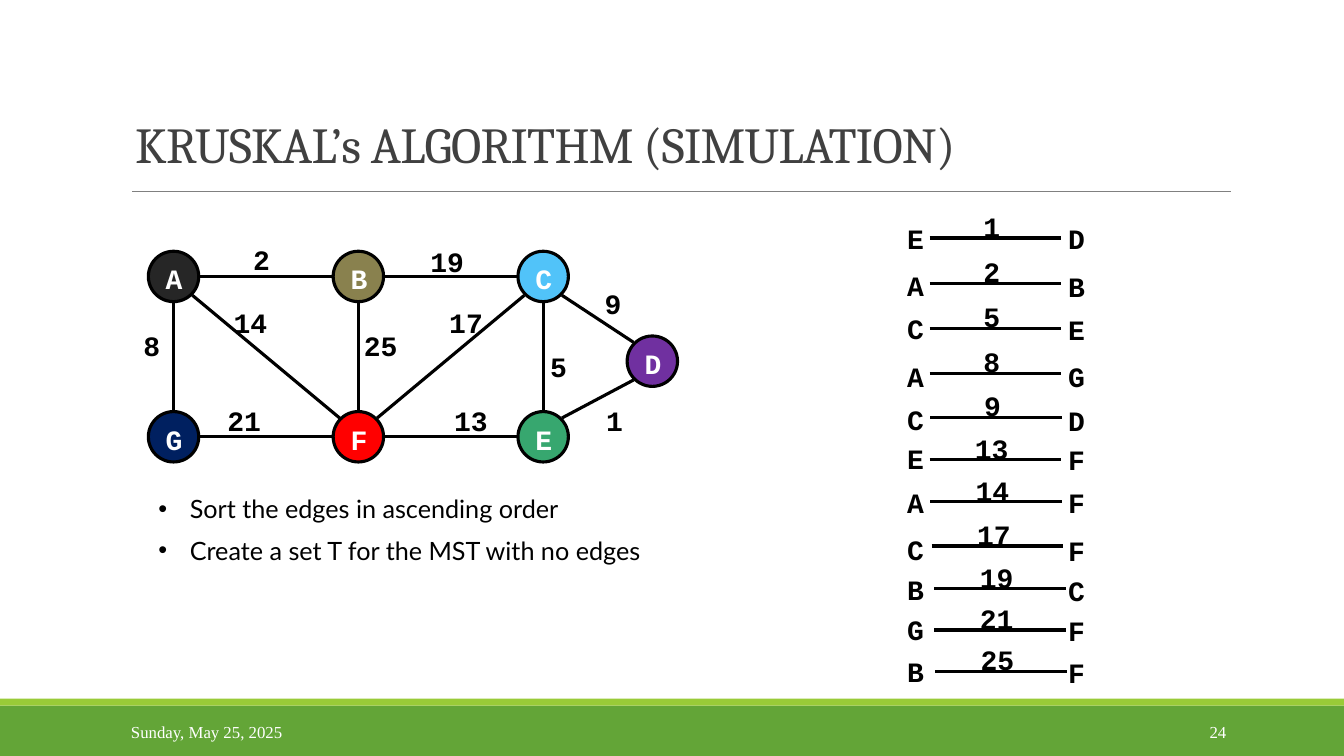
from math import hypot

from lxml import etree
from pptx import Presentation
from pptx.dml.color import RGBColor
from pptx.enum.shapes import MSO_CONNECTOR, MSO_SHAPE
from pptx.enum.text import MSO_ANCHOR, PP_ALIGN
from pptx.oxml.ns import qn
from pptx.util import Pt

STRAIGHT = MSO_CONNECTOR.STRAIGHT
RECTANGLE, OVAL = MSO_SHAPE.RECTANGLE, MSO_SHAPE.OVAL
TOP, MIDDLE, BOTTOM = MSO_ANCHOR.TOP, MSO_ANCHOR.MIDDLE, MSO_ANCHOR.BOTTOM
LEFT, RIGHT = PP_ALIGN.LEFT, PP_ALIGN.RIGHT

COLUMNS = [124 + 132 * column for column in range(3)]
UPPER, LOWER = 197.5, 312
NODES = {
    "A": (COLUMNS[0], UPPER, "262626"),
    "B": (COLUMNS[1], UPPER, "89814E"),
    "C": (COLUMNS[2], UPPER, "51C3F9"),
    "D": (466, 258, "7030A0"),
    "E": (COLUMNS[2], LOWER, "37A76F"),
    "F": (COLUMNS[1], LOWER, "FF0000"),
    "G": (COLUMNS[0], LOWER, "002060"),
}
EDGES = [
    (2, "AB", 187, 185.5),
    (19, "BC", 319.5, 186.5),
    (9, "CD", 438, 216.5),
    (1, "ED", 439, 300.5),
    (5, "CE", 399, 261.5),
    (13, "EF", 336.5, 300.5),
    (17, "CF", 333, 230),
    (25, "BF", 272, 246.5),
    (14, "AF", 179, 230),
    (8, "AG", 108.5, 246.5),
    (21, "GF", 174.5, 300.5),
]
LIST_ROWS = [
    (664, 170, 170),
    (664, 202.5, 204),
    (664, 234.5, 234.5),
    (664, 266.5, 268.5),
    (664.5, 298, 299.5),
    (664, 328.5, 327.5),
    (664.5, 358.5, 358.5),
    (665.5, 390, 392.5),
    (667.5, 420.5, 421),
    (667.5, 450, 449.5),
    (668, 479.5, 479.5),
]
STEPS = ["Sort the edges in ascending order", "Create a set T for the MST with no edges"]


def color(value):
    return RGBColor.from_string(value)


def sign(value):
    return (value > 0) - (value < 0)


class GraphSlide:
    """Draws styled shapes, lines and text on one slide."""

    ink = "000000"
    white = "FFFFFF"
    stroke = 2.25
    radius = 18
    reach = 19

    def __init__(self, slide):
        self.shapes = slide.shapes

    def shape(self, kind, left, top, width, height, fill, outline=None):
        shape = self.shapes.add_shape(kind, Pt(left), Pt(top), Pt(width), Pt(height))
        shape.shadow.inherit = False
        shape.fill.solid()
        shape.fill.fore_color.rgb = color(fill)
        if outline:
            shape.line.color.rgb = color(outline)
            shape.line.width = Pt(self.stroke)
        else:
            shape.line.fill.background()

    def line(self, x1, y1, x2, y2, stroke=ink, width=stroke):
        connector = self.shapes.add_connector(STRAIGHT, Pt(x1), Pt(y1), Pt(x2), Pt(y2))
        connector.line.color.rgb = color(stroke)
        connector.line.width = Pt(width)
        etree.SubElement(connector._element.spPr, qn("a:effectLst"))

    def text(self, content, left, top, width, height, font, size, fill=ink,
             bold=False, anchor=TOP, align=LEFT, wrap=True):
        box = self.shapes.add_textbox(Pt(left), Pt(top), Pt(width), Pt(height))
        frame = box.text_frame
        frame.text = content
        frame.word_wrap = wrap
        frame.vertical_anchor = anchor
        paragraph = frame.paragraphs[0]
        paragraph.alignment = align
        run = paragraph.runs[0]
        run.font.name = font
        run.font.size = Pt(size)
        run.font.bold = bold
        run.font.color.rgb = color(fill)
        return paragraph

    def title(self, content):
        paragraph = self.text(content, 89.5, 13.5, 825, 114.5, "Cambria", 36, "404040", anchor=BOTTOM)
        paragraph.line_spacing = 0.85
        paragraph.runs[0].font._element.set("spc", "-50")

    def footer(self, content, left, width, align=LEFT):
        self.text(content, left, 508.5, width, 28.5, "Times New Roman", 12,
                  self.white, anchor=MIDDLE, align=align)

    def bullet(self, content, top):
        paragraph = self.text(content, 106, top, 370, 29, "Lato", 18)
        properties = paragraph._p.get_or_add_pPr()
        properties.set("marL", str(Pt(22.5)))
        properties.set("indent", str(-Pt(22.5)))
        etree.SubElement(properties, qn("a:buFont"), typeface="Arial")
        etree.SubElement(properties, qn("a:buChar"), char="•")

    def label(self, content, x, y, fill=ink):
        width = 14.4 + 12 * len(content)
        self.text(content, x - width / 2, y - 15.5, width, 31, "Courier New", 20,
                  fill, bold=True, wrap=False)

    def node(self, x, y, fill):
        size = 2 * self.radius
        self.shape(OVAL, x - self.radius, y - self.radius, size, size, fill, self.ink)

    def edge(self, start, end):
        x1, y1, _ = NODES[start]
        x2, y2, _ = NODES[end]
        across, down = sign(x2 - x1), sign(y2 - y1)
        step = self.reach / hypot(across, down)
        dx, dy = across * step, down * step
        self.line(x1 + dx, y1 + dy, x2 - dx, y2 - dy)

    def list_row(self, weight, ends, line_left, line_y, letter_y):
        self.line(line_left, line_y, line_left + 94, line_y)
        self.label(str(weight), line_left + 44.5, line_y - 8.5)
        self.label(ends[0], 654, letter_y)
        self.label(ends[1], 769, letter_y + 0.5)


def main():
    presentation = Presentation()
    presentation.slide_width = Pt(960)
    presentation.slide_height = Pt(540)
    page = GraphSlide(presentation.slides.add_slide(presentation.slide_layouts[6]))

    page.shape(RECTANGLE, 0, 504, 960, 36, "63A537")
    page.shape(RECTANGLE, 0, 499, 960, 5, "99CB38")
    page.line(94.5, 136.5, 879, 136.5, "808080", 0.5)
    page.title("KRUSKAL’s ALGORITHM (SIMULATION)")

    for x, y, fill in NODES.values():
        page.node(x, y, fill)
    for weight, ends, x, y in EDGES:
        page.edge(*ends)
        page.label(str(weight), x, y)
    for name, (x, y, _) in NODES.items():
        page.label(name, x + 0.5, y + 1.5, page.white)

    for (weight, ends, _, _), row in zip(sorted(EDGES), LIST_ROWS):
        page.list_row(weight, ends, *row)
    for index, step in enumerate(STEPS):
        page.bullet(step, 349 + 29.5 * index)

    page.footer("Sunday, May 25, 2025", 86.5, 194.5)
    page.footer("24", 780, 103, RIGHT)
    presentation.save("out.pptx")


if __name__ == "__main__":
    main()
